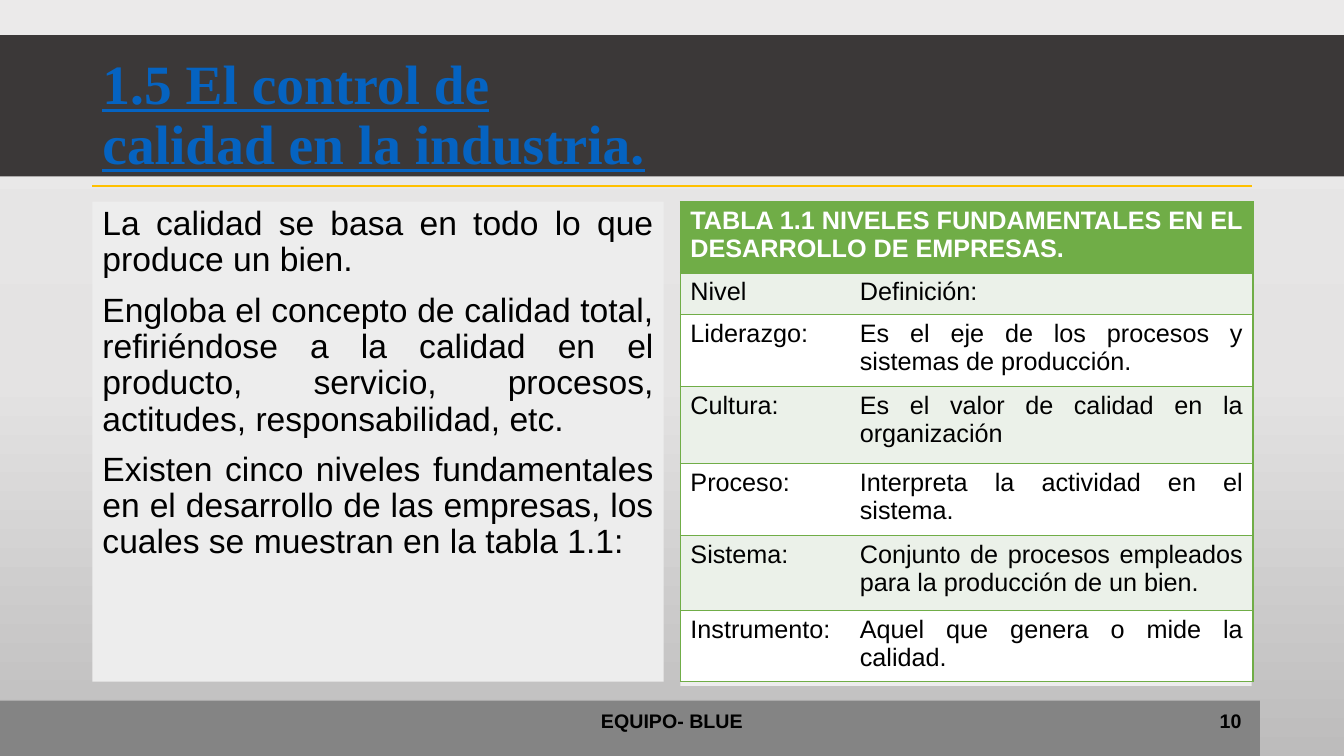
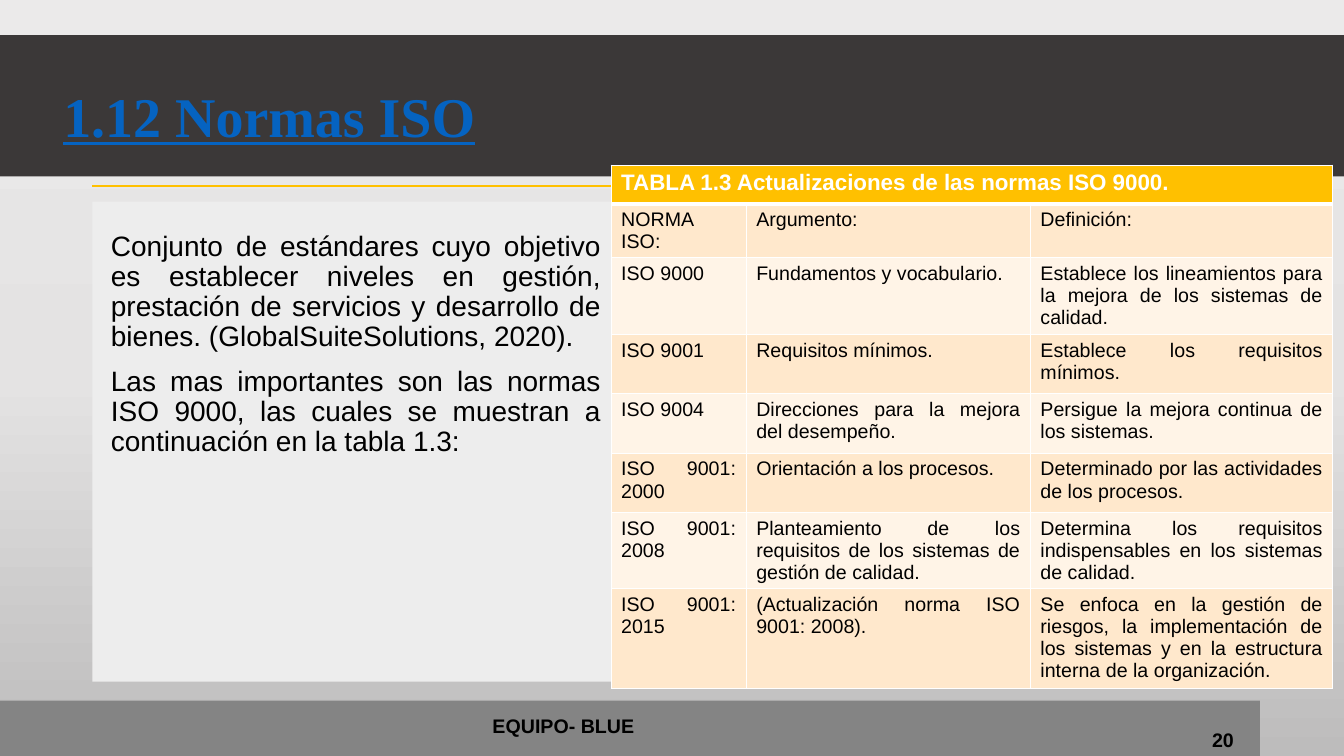
from copy import deepcopy
from lxml.etree import SubElement
from pptx import Presentation
from pptx.dml.color import RGBColor as RGB
from pptx.enum.shapes import MSO_CONNECTOR, MSO_SHAPE
from pptx.enum.text import MSO_ANCHOR as ANCHOR, MSO_AUTO_SIZE, PP_ALIGN as ALIGN
from pptx.oxml.ns import qn
from pptx.util import Pt

# Shared look
BLACK, WHITE = RGB(0, 0, 0), RGB(255, 255, 255)
DARK, PANEL, GREY = RGB(0x3B, 0x38, 0x38), RGB(0xED, 0xED, 0xED), RGB(0x84, 0x84, 0x84)
GOLD, GREEN, LINK = RGB(0xFF, 0xC0, 0), RGB(0x70, 0xAD, 0x47), RGB(0x05, 0x63, 0xC1)
PALE_GREEN = RGB(0xEB, 0xF1, 0xE9)
PEACH, CREAM = RGB(0xFF, 0xE8, 0xCC), RGB(0xFF, 0xF4, 0xE7)
BACKGROUND = [(0, RGB(0xEB, 0xEA, 0xEA)), (0.5, RGB(0xE4, 0xE3, 0xE3)),
              (1, RGB(0xBD, 0xBC, 0xBC))]
W, H = 960, 540
LEFT, RIGHT = 66, 894
BANDS = [((0, 25, W, 101), DARK), ((486, 144, 408, 346), PANEL),
         ((LEFT, 144, 408, 343), PANEL), ((0, 500.5, 900, 39.5), GREY)]
TEAM = "EQUIPO- BLUE"

# Content
SLIDES = [
    dict(
        title="1.5 El control de calidad en la industria.",
        title_box=(66, 29, 408, 108), title_size=39.6,
        body=["La calidad se basa en todo lo que produce un bien.",
              "Engloba el concepto de calidad total, refiriéndose a la calidad en el "
              "producto, servicio, procesos, actitudes, responsabilidad, etc.",
              "Existen cinco niveles fundamentales en el desarrollo de las empresas, "
              "los cuales se muestran en la tabla 1.1:"],
        body_box=(66, 144, 408, 343), body_size=24,
        table=dict(
            header="TABLA 1.1 NIVELES FUNDAMENTALES EN EL DESARROLLO DE EMPRESAS.",
            rows=[("Nivel", "Definición:"),
                  ("Liderazgo:", "Es el eje de los procesos y sistemas de producción."),
                  ("Cultura:", "Es el valor de calidad en la organización"),
                  ("Proceso:", "Interpreta la actividad en el sistema."),
                  ("Sistema:", "Conjunto de procesos empleados para la producción de un bien."),
                  ("Instrumento:", "Aquel que genera o mide la calidad.")],
            origin=(486, 144), widths=[121, 288],
            heights=[51, 29.5, 51.5, 55, 51.5, 53.5, 51],
            header_size=18, size=18, header_align=ALIGN.LEFT, header_fill=GREEN,
            fills=(PALE_GREEN, WHITE), border=GREEN, header_rule=1, inner=False),
        team_box=(318, 500.5, 324, 29), number="10", number_box=(678, 500.5, 216, 29)),
    dict(
        title="1.12 Normas ISO",
        title_box=(38, 33, 324, 104.5), title_size=40,
        body=["Conjunto de estándares cuyo objetivo es establecer niveles en gestión, "
              "prestación de servicios y desarrollo de bienes. "
              "(GlobalSuiteSolutions, 2020).",
              "Las mas importantes son las normas ISO 9000, las cuales se muestran a "
              "continuación en la tabla 1.3:"],
        body_box=(72, 162, 364.5, 343), body_size=20,
        table=dict(
            header="TABLA 1.3 Actualizaciones de las normas ISO 9000.",
            rows=[("NORMA ISO:", "Argumento:", "Definición:"),
                  ("ISO 9000", "Fundamentos y vocabulario.",
                   "Establece los lineamientos para la mejora de los sistemas de calidad."),
                  ("ISO 9001", "Requisitos mínimos.", "Establece los requisitos mínimos."),
                  ("ISO 9004", "Direcciones para la mejora del desempeño.",
                   "Persigue la mejora continua de los sistemas."),
                  ("ISO 9001: 2000", "Orientación a los procesos.",
                   "Determinado por las actividades de los procesos."),
                  ("ISO 9001: 2008",
                   "Planteamiento de los requisitos de los sistemas de gestión de calidad.",
                   "Determina los requisitos indispensables en los sistemas de calidad."),
                  ("ISO 9001: 2015", "(Actualización norma ISO 9001: 2008).",
                   "Se enfoca en la gestión de riesgos, la implementación de los sistemas "
                   "y en la estructura interna de la organización.")],
            origin=(436.5, 118), widths=[96.5, 203, 216],
            heights=[27.5, 38.5, 54.5, 42.5, 42.5, 42.5, 54.5, 71],
            header_size=16, size=14, header_align=ALIGN.JUSTIFY, header_fill=GOLD,
            fills=(PEACH, CREAM), border=WHITE, header_rule=3, inner=True),
        team_box=(240.5, 504, 324, 29), number="20", number_box=(672.5, 513.5, 216, 29)),
]


def pts(*values):
    return [Pt(v) for v in values]


def write(tf, *texts, size, color=BLACK, font="Arial", bold=False, underline=None,
          align=ALIGN.LEFT, spacing=None, before=0, anchor=None, plain=False):
    """Fill a text frame with one paragraph per text."""
    if anchor is not None:
        tf.vertical_anchor = anchor
    for i, text in enumerate(texts):
        p = tf.add_paragraph() if i else tf.paragraphs[0]
        if plain:
            pPr = p._p.get_or_add_pPr()
            pPr.set("marL", "0")
            pPr.set("indent", "0")
            SubElement(pPr, qn("a:buNone"))
        p.alignment, p.line_spacing = align, spacing
        p.space_before = Pt(before if i else 0)
        r = p.add_run()
        r.text = text
        f = r.font
        f.name, f.size, f.bold, f.underline = font, Pt(size), bold, underline
        f.color.rgb = color


def place(sp, box):
    sp.left, sp.top, sp.width, sp.height = pts(*box)
    sp.text_frame.word_wrap = True
    sp.text_frame.auto_size = MSO_AUTO_SIZE.NONE
    return sp.text_frame


def set_background(master):
    fill = master.background.fill
    fill.gradient()
    fill.gradient_angle = 270
    stops = master.element.find(".//" + qn("a:gsLst"))
    stops.append(deepcopy(stops[0]))
    for stop, (position, color) in zip(fill.gradient_stops, BACKGROUND):
        stop.position, stop.color.rgb = position, color


def add_bands(s):
    for box, color in BANDS:
        sp = s.shapes.add_shape(MSO_SHAPE.RECTANGLE, *pts(*box))
        sp.shadow.inherit = False
        sp.fill.solid()
        sp.fill.fore_color.rgb = color
        sp.line.fill.background()
    rule = s.shapes.add_connector(MSO_CONNECTOR.STRAIGHT, *pts(LEFT, 133, RIGHT, 133))
    rule.line.color.rgb, rule.line.width = GOLD, Pt(1.5)
    SubElement(rule._element.spPr, qn("a:effectLst"))


def set_borders(cell, color, widths):
    """Draw the four sides; a width of 0 leaves a side empty."""
    tcPr = cell._tc.get_or_add_tcPr()
    for side in "LRTB":
        ln = SubElement(tcPr, qn("a:ln" + side), w=str(Pt(widths[side])))
        if widths[side]:
            fill = SubElement(ln, qn("a:solidFill"))
            SubElement(fill, qn("a:srgbClr"), val=str(color))
        else:
            SubElement(ln, qn("a:noFill"))


def add_table(s, t):
    widths, heights = t["widths"], t["heights"]
    last = len(widths) - 1
    table = s.shapes.add_table(len(heights), len(widths), *pts(
        *t["origin"], sum(widths), sum(heights))).table
    table.first_row = table.horz_banding = False
    for col, width in zip(table.columns, widths):
        col.width = Pt(width)
    for row, height in zip(table.rows, heights):
        row.height = Pt(height)
    table.cell(0, 0).merge(table.cell(0, last))
    write(table.cell(0, 0).text_frame, t["header"], size=t["header_size"],
          color=WHITE, bold=True, align=t["header_align"])
    for i, row in enumerate(table.rows):
        for j, cell in enumerate(row.cells):
            side = t["inner"] or i == 0
            set_borders(cell, t["border"], dict(
                L=int(side or j == 0), R=int(side or j == last),
                T=t["header_rule"] if i == 1 else 1,
                B=t["header_rule"] if i == 0 else 1))
            cell.fill.solid()
            cell.fill.fore_color.rgb = t["fills"][(i - 1) % 2] if i else t["header_fill"]
            if i:
                write(cell.text_frame, t["rows"][i - 1][j], size=t["size"],
                      align=ALIGN.JUSTIFY)


def add_slide(prs, d):
    s = prs.slides.add_slide(prs.slide_layouts[1])
    title, body = s.shapes.title, s.placeholders[1]
    add_bands(s)
    # Title and text go above the bands
    for sp in (title, body):
        s.shapes._spTree.append(sp._element)
    write(place(title, d["title_box"]), d["title"], size=d["title_size"], color=LINK,
          font="Times New Roman", bold=True, underline=True, spacing=0.9,
          anchor=ANCHOR.MIDDLE)
    write(place(body, d["body_box"]), *d["body"], size=d["body_size"],
          align=ALIGN.JUSTIFY, spacing=0.9, before=10, anchor=ANCHOR.TOP, plain=True)
    add_table(s, d["table"])
    # Footer
    for text, box, align in ((TEAM, d["team_box"], ALIGN.CENTER),
                             (d["number"], d["number_box"], ALIGN.RIGHT)):
        sp = s.shapes.add_textbox(*pts(*box))
        write(place(sp, box), text, size=14, bold=True, align=align,
              anchor=ANCHOR.MIDDLE)


def main():
    prs = Presentation()
    prs.slide_width, prs.slide_height = pts(W, H)
    set_background(prs.slide_master)
    for d in SLIDES:
        add_slide(prs, d)
    prs.save("out.pptx")


if __name__ == "__main__":
    main()
